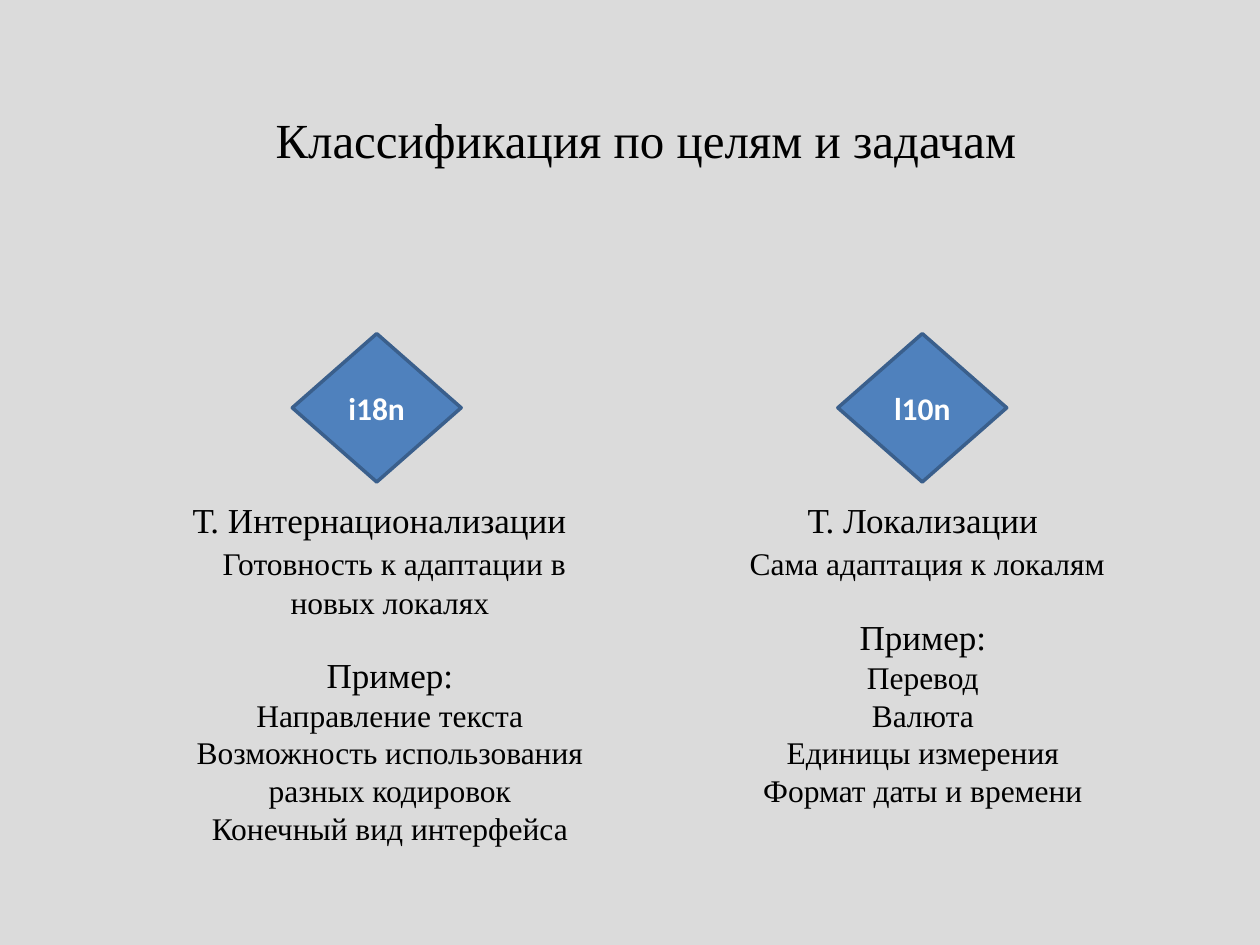
from pptx import Presentation
from pptx.dml.color import RGBColor
from pptx.enum.shapes import MSO_SHAPE as Shape
from pptx.enum.text import MSO_ANCHOR as Anchor, PP_ALIGN as Align
from pptx.util import Inches, Pt

WIDE, HIGH = Inches(10), Inches(7.5)
SERIF, SANS = "Times New Roman", "Calibri"
BLACK, WHITE = "000000", "FFFFFF"
HEAD, BODY = 20, 18

COLUMNS = [
    (0.143, 0.232, 0.385, "i18n", "Т. Интернационализации", Align.JUSTIFY,
     "Готовность к адаптации в новых локалях",
     ["Направление текста", "Возможность использования разных кодировок",
      "Конечный вид интерфейса"]),
    (0.566, 0.665, 0.345, "l10n", "Т. Локализации", Align.CENTER,
     "Сама адаптация к локалям",
     ["Перевод", "Валюта", "Единицы измерения", "Формат даты и времени"]),
]


def color(code):
    return RGBColor.from_string(code)


def place(left, top, width, height):
    """Turn shares of the slide's size into lengths."""
    return [int(part * side) for part, side in
            zip((left, top, width, height), (WIDE, HIGH, WIDE, HIGH))]


def add_run(para, text, size, font=SERIF, tint=BLACK, bold=False):
    run = para.add_run()
    run.text = text
    run.font.size, run.font.name, run.font.bold = Pt(size), font, bold
    run.font.color.rgb = color(tint)


def add_lines(slide, box, lines):
    """Each line is (runs, alignment, space before); a run is (text, size)."""
    frame = slide.shapes.add_textbox(*place(*box)).text_frame
    frame.word_wrap = True
    for i, (runs, align, gap) in enumerate(lines):
        para = frame.add_paragraph() if i else frame.paragraphs[0]
        para.alignment, para.space_before = align, Pt(gap)
        for text, size in runs:
            add_run(para, text, size)


def add_diamond(slide, box, label):
    gem = slide.shapes.add_shape(Shape.DIAMOND, *place(*box))
    gem.shadow.inherit = False
    gem.fill.solid()
    gem.fill.fore_color.rgb = color("4F81BD")
    gem.line.color.rgb, gem.line.width = color("3A5F8C"), Pt(2)
    gem.text_frame.vertical_anchor = Anchor.MIDDLE
    gem.text_frame.word_wrap = True
    para = gem.text_frame.paragraphs[0]
    para.alignment = Align.CENTER
    add_run(para, label, BODY, SANS, WHITE, True)


def add_column(slide, left, gem, height, label, name, align, goal, samples):
    mid = Align.CENTER
    add_diamond(slide, (gem, 0.353, 0.134, 0.157), label)
    lines = [([(name, HEAD)], align, 0),
             ([(" ", HEAD), (goal, BODY)], mid, 0),
             ([("Пример:", HEAD)], mid, 19)]
    lines += [([(sample, BODY)], mid, 0) for sample in samples]
    add_lines(slide, (left, 0.521, 0.333, height), lines)


def main():
    deck = Presentation()
    deck.slide_width, deck.slide_height = WIDE, HIGH
    slide = deck.slides.add_slide(deck.slide_layouts[6])
    fill = slide.background.fill
    fill.solid()
    fill.fore_color.rgb = color("DBDBDB")
    title = [("Классификация по целям и задачам", 28)]
    add_lines(slide, (0.04, 0.109, 0.945, 0.076), [(title, Align.CENTER, 0)])
    for column in COLUMNS:
        add_column(slide, *column)
    deck.save("out.pptx")


if __name__ == "__main__":
    main()
